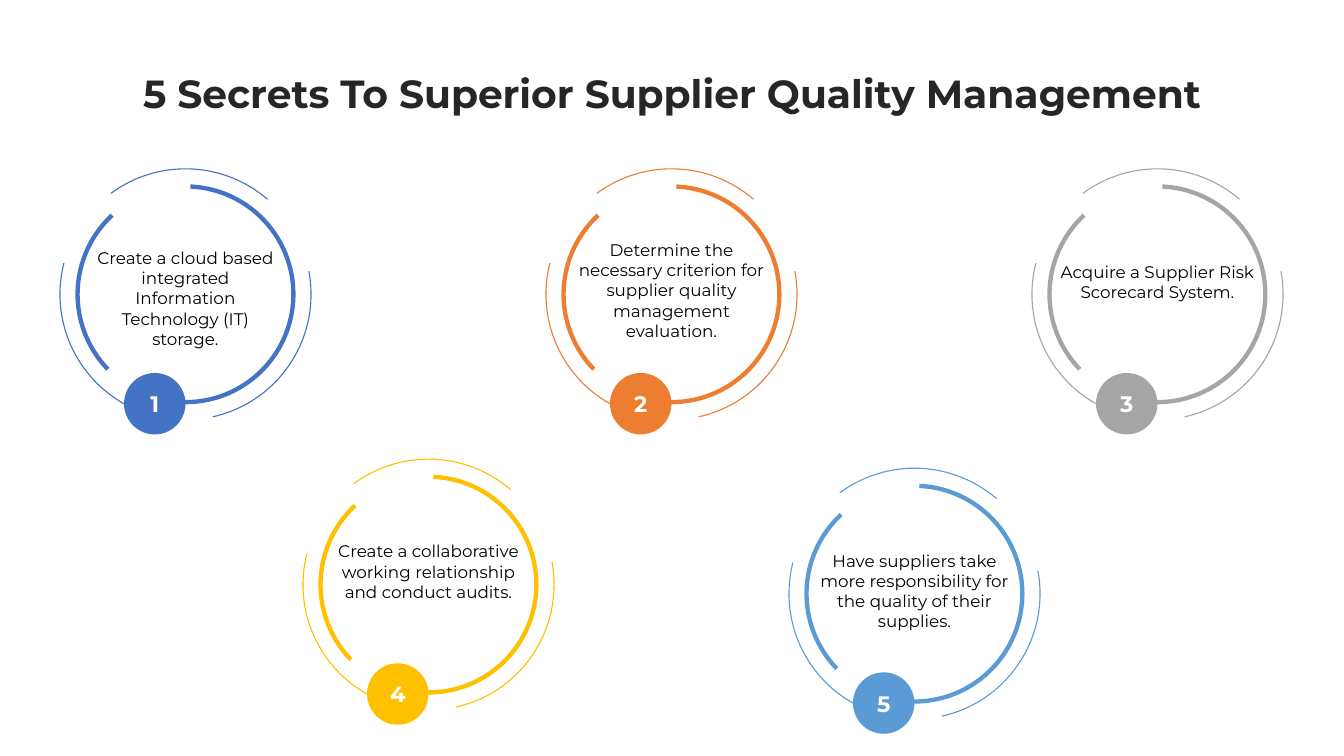
from pptx import Presentation
from pptx.dml.color import RGBColor
from pptx.enum import shapes, text
from pptx.util import Inches, Pt

FONT = "Montserrat"
COLORS = {
    "blue": "4472C4",
    "orange": "ED7D31",
    "gray": "A5A5A5",
    "gold": "FFC000",
    "sky": "5B9BD5",
    "title": "262626",
    "black": "000000",
    "white": "FFFFFF",
}
LEFT, STEP = 1.84, 2.41
THIN = (1.245, 0.8, [(349.4, 77.5), (116.6, 194.4), (233.5, 310.8)])
THICK = (1.07, 3.1, [(272.6, 90.5), (136, 227.2)])
SECRETS = [
    ("Create a cloud based integrated Information Technology (IT) storage.",
     "blue", 0, 2.92, (2.41, 1.96, 1.11)),
    ("Determine the necessary criterion for supplier quality management evaluation.",
     "orange", 2, 2.92, (2.33, 2.12, 1.17)),
    ("Acquire a Supplier Risk Scorecard System.",
     "gray", 4, 2.92, (2.55, 2.12, 0.75)),
    ("Create a collaborative working relationship and conduct audits.",
     "gold", 1, 5.8, (5.32, 2.12, 0.96)),
    ("Have suppliers take more responsibility for the quality of their supplies.",
     "sky", 3, 5.89, (5.41, 2.12, 0.96)),
]


def rgb(name):
    return RGBColor.from_string(COLORS[name])


def write(frame, words, size, color, bold=False):
    frame.word_wrap = True
    para = frame.paragraphs[0]
    para.text = words
    para.alignment = text.PP_ALIGN.CENTER
    para.font.name = FONT
    para.font.size = Pt(size)
    para.font.bold = bold
    para.font.color.rgb = rgb(color)


def add_text(slide, box, words, size, color, bold=False):
    label = slide.shapes.add_textbox(*map(Inches, box))
    write(label.text_frame, words, size, color, bold)


def add_ring(slide, x, y, ring, color):
    radius, weight, spans = ring
    box = (x - radius, y - radius, 2 * radius, 2 * radius)
    for span in spans:
        arc = slide.shapes.add_shape(shapes.MSO_SHAPE.ARC, *map(Inches, box))
        for i, angle in enumerate(span):
            arc.adjustments[i] = angle * 0.6
        arc.shadow.inherit = False
        arc.fill.background()
        arc.line.color.rgb = rgb(color)
        arc.line.width = Pt(weight)


def add_badge(slide, x, y, number, color):
    box = (x - 0.61, y + 0.78, 0.61, 0.61)
    badge = slide.shapes.add_shape(shapes.MSO_SHAPE.OVAL, *map(Inches, box))
    badge.shadow.inherit = False
    badge.fill.solid()
    badge.fill.fore_color.rgb = rgb(color)
    badge.line.fill.background()
    badge.text_frame.vertical_anchor = text.MSO_ANCHOR.MIDDLE
    write(badge.text_frame, str(number), 16, "white", True)


def add_secret(slide, number, words, color, column, y, place):
    x = LEFT + STEP * column
    add_ring(slide, x, y, THIN, color)
    add_ring(slide, x, y, THICK, color)
    add_badge(slide, x, y, number, color)
    top, width, height = place
    add_text(slide, (x - width / 2, top, width, height), words, 12, "black")


def main():
    deck = Presentation()
    deck.slide_width = Inches(13.33)
    deck.slide_height = Inches(7.5)
    slide = deck.slides.add_slide(deck.slide_layouts[6])
    add_text(slide, (0, 0.64, 13.33, 0.57),
             "5 Secrets To Superior Supplier Quality Management", 28, "title", True)
    for number, secret in enumerate(SECRETS, 1):
        add_secret(slide, number, *secret)
    deck.save("out.pptx")


if __name__ == "__main__":
    main()
